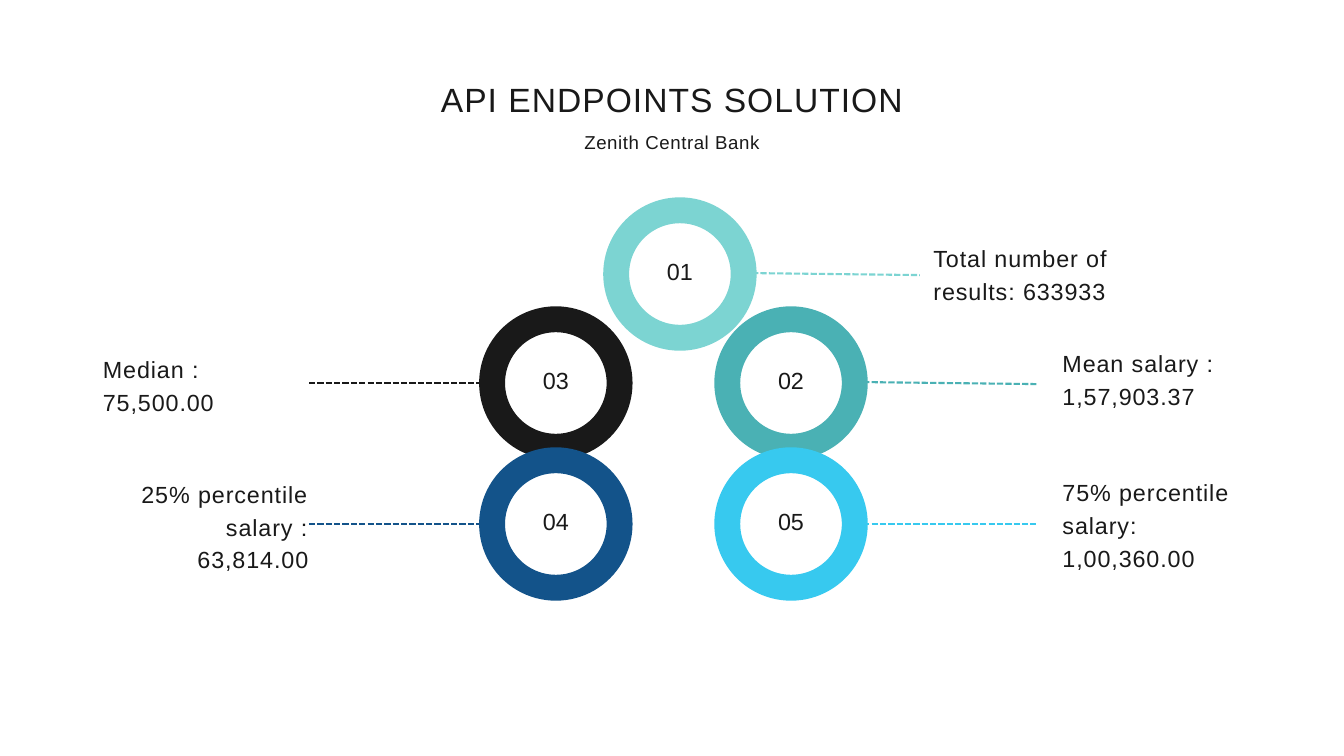
from pptx import Presentation
from pptx.dml.color import RGBColor
from pptx.enum.dml import MSO_LINE
from pptx.enum.shapes import MSO_CONNECTOR, MSO_SHAPE
from pptx.enum.text import MSO_ANCHOR, MSO_AUTO_SIZE, PP_ALIGN
from pptx.oxml.ns import qn
from pptx.util import Cm, Pt
from lxml import etree

# Content
TITLE = "API ENDPOINTS SOLUTION"
SUBTITLE = "Zenith Central Bank"
COLORS = {
    "ink": "191919", "white": "FFFFFF", "aqua": "7CD4D2",
    "teal": "4AB1B4", "sky": "37C9EF", "navy": "13538A",
}
LEFT, RIGHT = PP_ALIGN.LEFT, PP_ALIGN.RIGHT

# number, colour, ring centre, outer line end, line tilt, label box, alignment, label
ENDPOINTS = [
    ("01", "aqua", (25.7, 10.36), 34.77, 0.04, (35.28, 9.07, 8.74, 2.39), LEFT,
     "Total number of results: 633933"),
    ("02", "teal", (29.9, 14.48), 39.17, 0.04, (40.16, 13.03, 7.67, 2.39), LEFT,
     "Mean salary : 1,57,903.37"),
    ("03", "ink", (21.01, 14.48), 11.68, 0, (3.89, 13.26, 7.77, 2.39), LEFT,
     "Median : 75,500.00"),
    ("05", "sky", (29.9, 19.81), 39.17, 0, (40.16, 17.91, 7.67, 3.61), LEFT,
     "75% percentile salary: 1,00,360.00"),
    ("04", "navy", (21.01, 19.81), 11.68, 0, (3.89, 17.98, 7.77, 3.61), RIGHT,
     "25% percentile\vsalary :\v63,814.00"),
]
RING = 4.82  # diameter at the middle of the ring's stroke
NUMBER_LIFT = 0.46  # bottom inset that raises the number in its ring


def rgb(name):
    return RGBColor.from_string(COLORS[name])


def write(shape, text, size, leading, align, spacing=0, anchor=MSO_ANCHOR.TOP, bottom=0):
    frame = shape.text_frame
    frame.word_wrap = True
    frame.auto_size = MSO_AUTO_SIZE.NONE
    frame.vertical_anchor = anchor
    frame.margin_left = frame.margin_right = frame.margin_top = 0
    frame.margin_bottom = Cm(bottom)
    frame.text = text
    paragraph = frame.paragraphs[0]
    paragraph.alignment = align
    paragraph.line_spacing = Pt(leading)
    for run in paragraph.runs:
        run.font.name = "Arial"
        run.font.size = Pt(size)
        run.font.color.rgb = rgb("ink")
        run.font._element.set("spc", str(round(spacing * 100)))


def add_ring(slide, number, color, center):
    x, y = center
    ring = slide.shapes.add_shape(
        MSO_SHAPE.OVAL, Cm(x - RING / 2), Cm(y - RING / 2), Cm(RING), Cm(RING))
    ring.shadow.inherit = False
    ring.fill.solid()
    ring.fill.fore_color.rgb = rgb("white")
    ring.line.color.rgb = rgb(color)
    ring.line.width = Pt(27.75)
    write(ring, number, 25, 37.5, PP_ALIGN.CENTER,
          anchor=MSO_ANCHOR.MIDDLE, bottom=NUMBER_LIFT)


def add_leader(slide, color, center, end_x, tilt):
    x, y = center
    edge_x = x + RING / 2 if end_x > x else x - RING / 2
    start_x, stop_x = sorted((edge_x, end_x))
    leader = slide.shapes.add_connector(
        MSO_CONNECTOR.STRAIGHT, Cm(start_x), Cm(y - tilt), Cm(stop_x), Cm(y + tilt))
    leader.line.color.rgb = rgb(color)
    leader.line.width = Pt(2.25)
    leader.line.dash_style = MSO_LINE.SQUARE_DOT
    etree.SubElement(leader._element.spPr, qn("a:effectLst"))


def main():
    prs = Presentation()
    prs.slide_width, prs.slide_height = Cm(50.8), Cm(28.58)
    slide = prs.slides.add_slide(prs.slide_layouts[5])

    # Heading
    title = slide.shapes.title
    title.left, title.top, title.width, title.height = map(Cm, (12.32, 2.84, 26.16, 1.6))
    write(title, TITLE, 36, 47.2, PP_ALIGN.CENTER, spacing=1.1)
    subtitle = slide.shapes.add_textbox(*map(Cm, (12.32, 4.75, 26.16, 0.99)))
    write(subtitle, SUBTITLE, 20, 30, PP_ALIGN.CENTER, spacing=0.6)

    # Rings with leader lines and labels
    for number, color, center, end_x, tilt, box, align, text in ENDPOINTS:
        add_ring(slide, number, color, center)
        add_leader(slide, color, center, end_x, tilt)
        label = slide.shapes.add_textbox(*map(Cm, box))
        write(label, text, 25, 35, align, spacing=1)

    prs.save("out.pptx")


if __name__ == "__main__":
    main()
